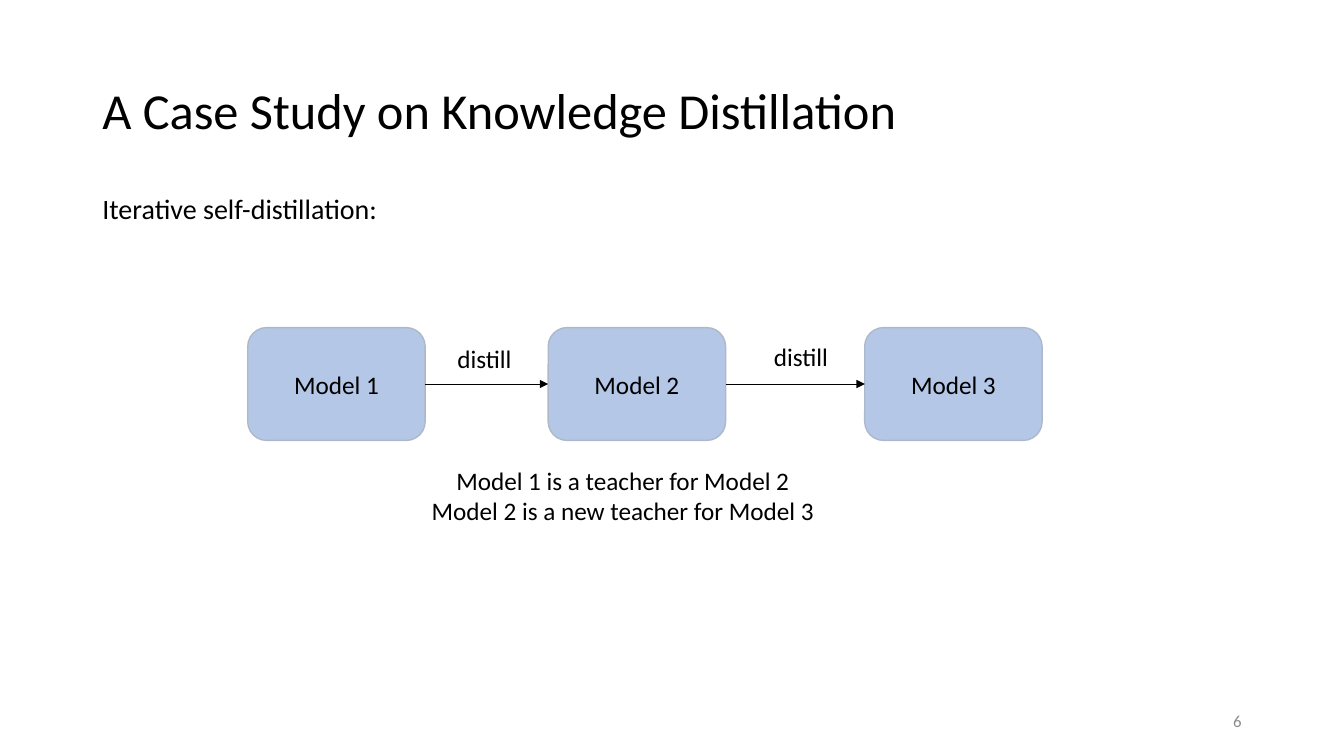
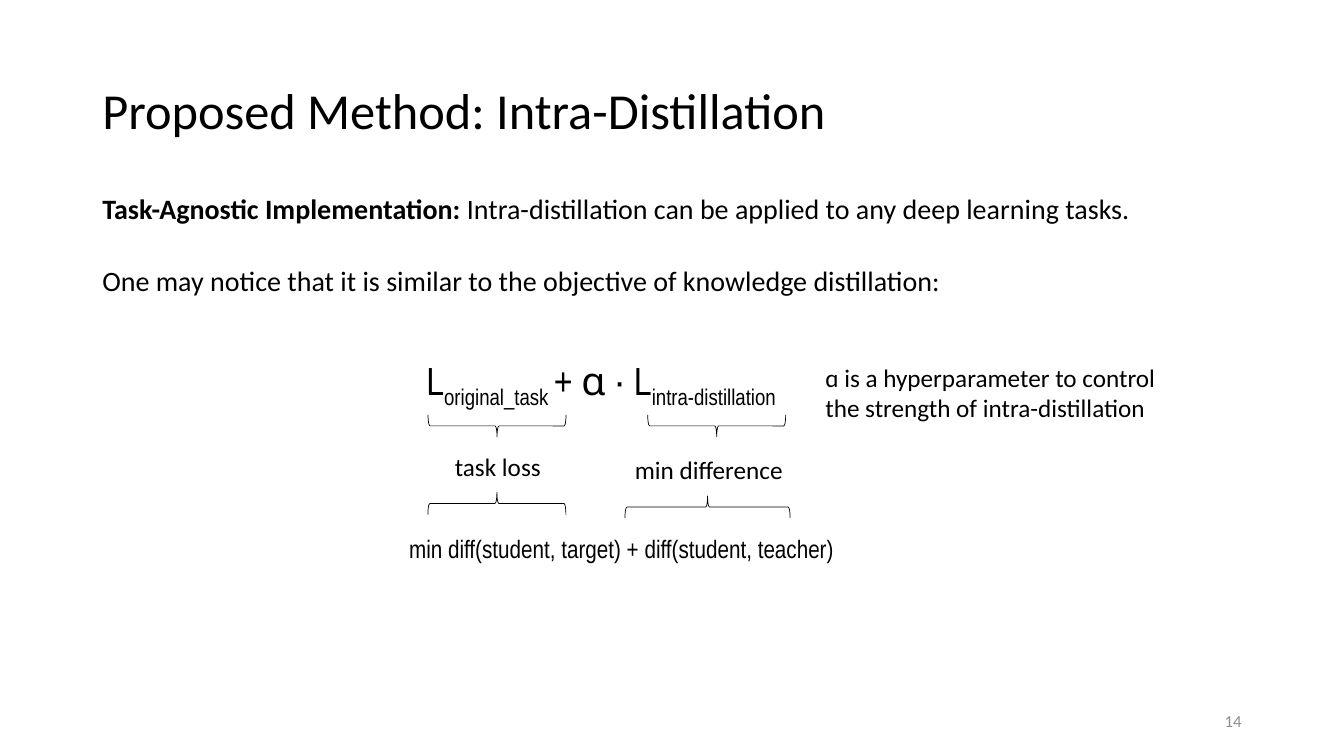
from itertools import pairwise

from lxml import etree
from pptx import Presentation
from pptx.dml.color import RGBColor
from pptx.enum.shapes import MSO_CONNECTOR, MSO_SHAPE
from pptx.enum.text import MSO_ANCHOR as ANCHOR, PP_ALIGN as ALIGN
from pptx.oxml.ns import qn
from pptx.util import Pt

BLACK, GREY = "000000", "8C8C8C"
BOX_FILL, BOX_LINE = "B4C7E7", "ADB9CA"
SANS, NARROW = "Calibri", "Arial Narrow"
LEFT, BODY_TOP, BODY_W = 66, 133.2, 852

# Slide 1: chain of models
CHAIN = {
    "title": "A Case Study on Knowledge Distillation",
    "number": "6",
    "intro": "Iterative self-distillation:",
    "models": [("Model 1", 177), ("Model 2", 391.6), ("Model 3", 617.7)],
    "arrows": [("distill", 241.9), ("distill", 240.5)],
    "notes": ["Model 1 is a teacher for Model 2",
              "Model 2 is a new teacher for Model 3"],
}
BOX_TOP, BOX_W, BOX_H = 234, 126.7, 80.6
LABEL_W = 72

# Slide 2: loss formula; a run is (text, style)
METHOD = {
    "title": "Proposed Method: Intra-Distillation",
    "number": "14",
    "intro": [("Task-Agnostic Implementation: ", "bold"),
              ("Intra-distillation can be applied to any deep learning tasks.", "")],
    "lead": "One may notice that it is similar to the objective of "
            "knowledge distillation:",
    "formula": [("L", ""), ("original_task ", "sub"), ("+ ɑ · L", ""),
                ("intra-distillation", "sub")],
    "objective": "min diff(student, target) + diff(student, teacher)",
    "hint": "ɑ is a hyperparameter to control the strength of intra-distillation",
}
DOWN, UP = 90, 270
# centre x, centre y, span, direction of the point
BRACES = [(355, 304.2, 98.6, DOWN), (511.9, 304.2, 98.6, DOWN),
          (355, 359.6, 98.6, UP), (505.4, 362.2, 118, UP)]
BRACE_DEPTH = 15.8


def rgb(color):
    return RGBColor.from_string(color)


def write(tf, paragraphs, size, font=SANS, color=BLACK, align=ALIGN.LEFT):
    """Fill a frame; a paragraph is a string or a list of styled runs."""
    tf.word_wrap = True
    for i, content in enumerate(paragraphs):
        p = tf.add_paragraph() if i else tf.paragraphs[0]
        p.alignment = align
        runs = [(content, "")] if isinstance(content, str) else content
        for text, style in runs:
            r = p.add_run()
            r.text = text
            r.font.size, r.font.name = Pt(size), font
            r.font.color.rgb = rgb(color)
            r.font.bold = style == "bold"
            if style == "sub":
                r._r.get_or_add_rPr().set("baseline", "-25000")


def add_text(s, x, y, w, h, paragraphs, size, anchor=ANCHOR.TOP, **style):
    tf = s.shapes.add_textbox(Pt(x), Pt(y), Pt(w), Pt(h)).text_frame
    tf.vertical_anchor = anchor
    write(tf, paragraphs, size, **style)
    return tf


def add_shape(s, kind, x, y, w, h, fill, line, line_w):
    sp = s.shapes.add_shape(kind, Pt(x), Pt(y), Pt(w), Pt(h))
    sp.shadow.inherit = False
    if fill:
        sp.fill.solid()
        sp.fill.fore_color.rgb = rgb(fill)
    else:
        sp.fill.background()
    sp.line.color.rgb = rgb(line)
    sp.line.width = Pt(line_w)
    return sp


def add_arrow(s, source, target):
    """Arrow from the right side of one box to the left side of the next."""
    line = s.shapes.add_connector(MSO_CONNECTOR.STRAIGHT, 0, 0, 0, 0)
    line.begin_connect(source, 3)
    line.end_connect(target, 1)
    line.line.color.rgb = rgb(BLACK)
    line.line.width = Pt(0.5)
    etree.SubElement(line.line._get_or_add_ln(), qn("a:tailEnd"), type="triangle")
    etree.SubElement(line._element.spPr, qn("a:effectLst"))


def add_slide(prs, content):
    """Slide with the shared title, page number and first line."""
    s = prs.slides.add_slide(prs.slide_layouts[6])
    title = add_text(s, LEFT, 28.8, 828, 104.4, [content["title"]], 36,
                     anchor=ANCHOR.MIDDLE)
    title.paragraphs[0].line_spacing = 0.9
    add_text(s, 678, 500.5, 216, 28.8, [content["number"]], 12,
             anchor=ANCHOR.MIDDLE, color=GREY, align=ALIGN.RIGHT)
    add_text(s, LEFT, BODY_TOP, BODY_W, 32, [content["intro"]], 20)
    return s


def build_chain(prs):
    s = add_slide(prs, CHAIN)
    boxes = []
    for name, x in CHAIN["models"]:
        box = add_shape(s, MSO_SHAPE.ROUNDED_RECTANGLE, x, BOX_TOP, BOX_W, BOX_H,
                        BOX_FILL, BOX_LINE, 1)
        box.text_frame.vertical_anchor = ANCHOR.MIDDLE
        write(box.text_frame, [name], 18, align=ALIGN.CENTER)
        boxes.append(box)
    # Each label ends where its arrow meets the next box
    for (source, target), (label, y) in zip(pairwise(boxes), CHAIN["arrows"]):
        add_arrow(s, source, target)
        add_text(s, target.left.pt - LABEL_W, y, LABEL_W, 29, [label], 18)
    add_text(s, 145.4, 329, 599, 51, CHAIN["notes"], 18, align=ALIGN.CENTER)


def build_method(prs):
    s = add_slide(prs, METHOD)
    add_text(s, LEFT, 185, BODY_W, 32, [METHOD["lead"]], 20)
    # Formula, its meaning and the matching objective
    add_text(s, 297.4, 251.3, 480, 41, [METHOD["formula"]], 28, font=NARROW)
    add_text(s, 255.6, 319, 200, 29, ["task loss"], 18, align=ALIGN.CENTER)
    add_text(s, 446.4, 321.1, 135.4, 29, ["min difference"], 18)
    add_text(s, 285.1, 377.3, 480, 29, [METHOD["objective"]], 18, font=NARROW)
    add_text(s, 582.5, 254.9, 270.7, 51, [METHOD["hint"]], 18)
    # Braces are upright shapes turned about their centres
    for cx, cy, span, turn in BRACES:
        brace = add_shape(s, MSO_SHAPE.RIGHT_BRACE, cx - BRACE_DEPTH / 2,
                          cy - span / 2, BRACE_DEPTH, span, None, BLACK, 0.5)
        brace.rotation = turn


def main():
    prs = Presentation()
    prs.slide_width, prs.slide_height = Pt(960), Pt(540)
    build_chain(prs)
    build_method(prs)
    prs.save("out.pptx")


if __name__ == "__main__":
    main()
